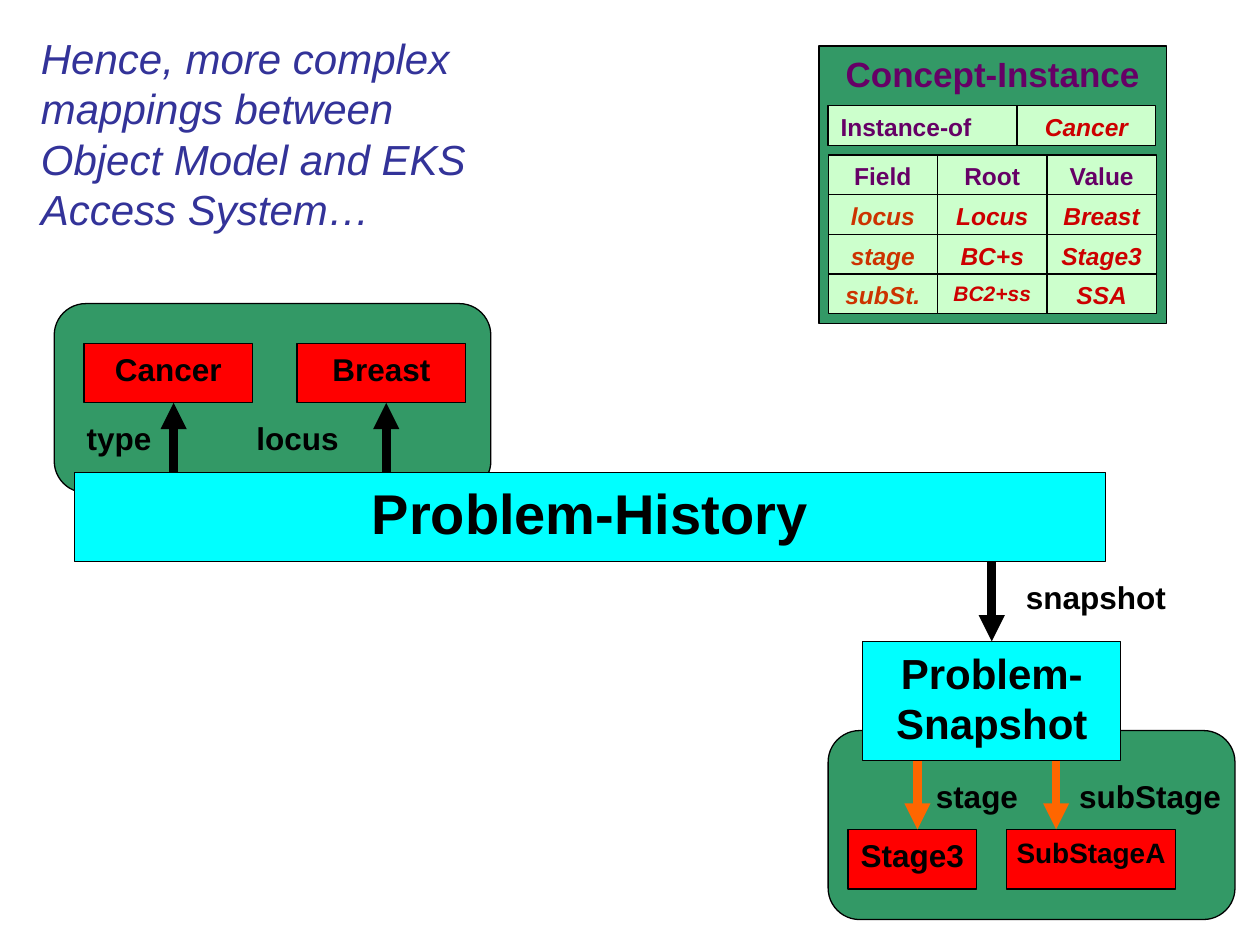
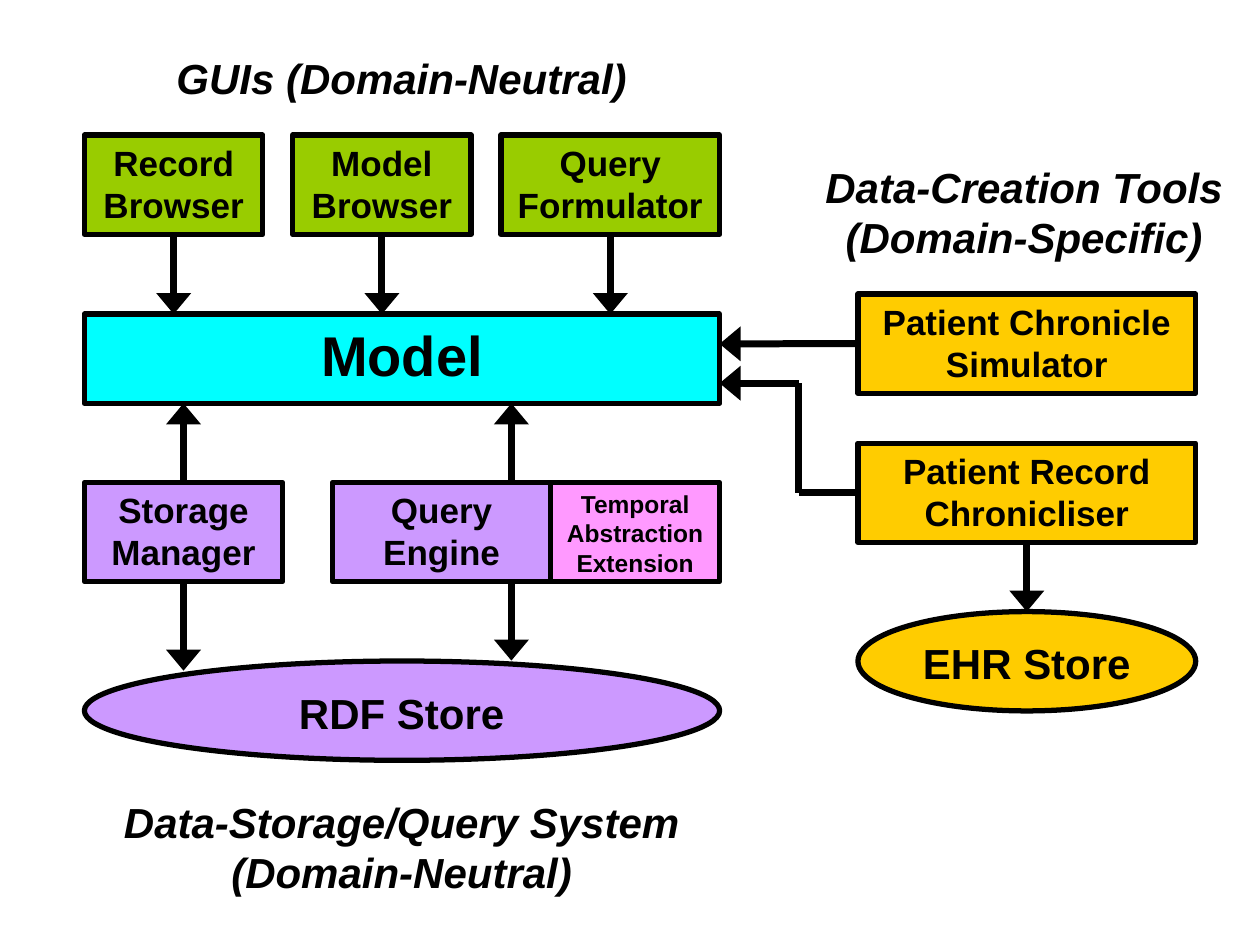
"""Build two slides on mapping an object model to its stores and tools."""
from dataclasses import dataclass

from lxml import etree
from pptx import Presentation
from pptx import util as u
from pptx.dml.color import RGBColor
from pptx.enum import shapes, text
from pptx.oxml.ns import qn

RECT = shapes.MSO_SHAPE.RECTANGLE
ROUND = shapes.MSO_SHAPE.ROUNDED_RECTANGLE
OVAL = shapes.MSO_SHAPE.OVAL
LEFT, CENTER = text.PP_ALIGN.LEFT, text.PP_ALIGN.CENTER
TOP, SIDE_LEFT, BOTTOM = 0, 1, 2


@dataclass(frozen=True)
class Theme:
    font: str = "Arial"
    ink: str = "000000"
    title: str = "333399"
    green: str = "339966"
    mint: str = "CCFFCC"
    red: str = "FF0000"
    cyan: str = "00FFFF"
    orange: str = "FF6600"
    purple: str = "660066"
    rust: str = "CC3300"
    crimson: str = "CC0000"
    lime: str = "99CC00"
    lilac: str = "CC99FF"
    pink: str = "FF99FF"
    gold: str = "FFCC00"
    small: int = 12
    cell: int = 14
    compact: int = 16
    label: int = 18
    box: int = 20
    heading: int = 24
    hero: int = 32
    thin: float = 0.75
    thick: float = 3
    inset: float = 3.6
    wide_inset: float = 7.2


T = Theme()


def rgb(color):
    return RGBColor.from_string(color)


def pts(values):
    return [u.Pt(v) for v in values]


def apply(target, values):
    for name, value in values.items():
        setattr(target, name, value)


def write(tf, words, size, color=T.ink, bold=True, italic=False, align=CENTER):
    for i, line_words in enumerate(words.split("\n")):
        p = tf.paragraphs[0] if i == 0 else tf.add_paragraph()
        p.alignment = align
        r = p.add_run()
        r.text = line_words
        apply(r.font, {"name": T.font, "size": u.Pt(size), "bold": bold, "italic": italic})
        r.font.color.rgb = rgb(color)


def frame(tf, inset=T.inset):
    apply(tf, {"word_wrap": True, "vertical_anchor": text.MSO_ANCHOR.TOP,
               "margin_left": u.Pt(inset), "margin_right": u.Pt(inset),
               "margin_top": u.Pt(T.inset), "margin_bottom": u.Pt(T.inset)})


def box(s, at, fill, words="", size=T.box, kind=RECT, width=T.thin, inset=T.inset, **style):
    sp = s.shapes.add_shape(kind, *pts(at))
    sp.shadow.inherit = False
    sp.fill.solid()
    sp.fill.fore_color.rgb = rgb(fill)
    sp.line.color.rgb = rgb(T.ink)
    sp.line.width = u.Pt(width)
    frame(sp.text_frame, inset)
    if words:
        write(sp.text_frame, words, size, **style)
    return sp


def label(s, at, words, size=T.label, **style):
    sp = s.shapes.add_textbox(*pts(at))
    frame(sp.text_frame)
    write(sp.text_frame, words, size, **style)


def line(s, start, end, width, color=T.ink, head="med", begin=None, finish=None):
    cx = s.shapes.add_connector(shapes.MSO_CONNECTOR.STRAIGHT, *pts(start + end))
    if begin:
        cx.begin_connect(*begin)
    if finish:
        cx.end_connect(*finish)
    cx.line.color.rgb = rgb(color)
    cx.line.width = u.Pt(width)
    if head:
        etree.SubElement(cx.line._get_or_add_ln(), qn("a:tailEnd"),
                         type="triangle", w=head, len="med")
    etree.SubElement(cx._element.spPr, qn("a:effectLst"))


def cell_row(s, x, y, widths, height, cells):
    for width, (words, style) in zip(widths, cells):
        box(s, (x, y, width, height), T.mint, words,
            **{"size": T.cell, "inset": T.wide_inset, **style})
        x += width


def concept_instance(s):
    head = {"color": T.purple}
    field = {"color": T.rust, "italic": True}
    value = {"color": T.crimson, "italic": True}
    box(s, (468, 26.25, 198.5, 158.5), T.green, "Concept-Instance", color=T.purple)
    cell_row(s, 473.25, 60.25, (108, 79.25), 22.75,
             [("Instance-of", {**head, "align": LEFT}), ("Cancer", value)])
    rows = [[(name, head) for name in ("Field", "Root", "Value")]]
    for name, root, content in (("locus", "Locus", "Breast"), ("stage", "BC+s", "Stage3"),
                                ("subSt.", "BC2+ss", "SSA")):
        root_style = {**value, "size": T.small} if root == "BC2+ss" else value
        rows.append([(name, field), (root, root_style), (content, value)])
    height = 22.7
    for i, cells in enumerate(rows):
        cell_row(s, 473.25, 88.5 + i * height, (62.5,) * 3, height, cells)


def mapping_slide(s):
    label(s, (19.75, 15, 278, 130),
          "Hence, more complex mappings between Object Model and EKS Access System…",
          T.heading, color=T.title, bold=False, italic=True, align=LEFT)
    concept_instance(s)
    for at in ((473.25, 417.5, 232.5, 108), (31, 173.5, 249.5, 108)):
        box(s, at, T.green, kind=ROUND)
    for x, y, w, words, size in ((48, 196.25, 96.5, "Cancer", T.label),
                                 (169.75, 196.25, 96.5, "Breast", T.label),
                                 (484.5, 474, 73.5, "Stage3", T.label),
                                 (575.25, 474, 96.5, "SubStageA", T.compact)):
        box(s, (x, y, w, 34), T.red, words, size)
    box(s, (42.5, 270, 589.25, 51), T.cyan, "Problem-History", T.hero)
    snapshot = box(s, (493, 366.5, 147.5, 68.25), T.cyan, "Problem-Snapshot", T.heading)
    for x, y, w, words in ((36.75, 236, 62.5, "type"), (136.25, 236, 67.5, "locus"),
                           (572.25, 327, 108, "snapshot"), (527, 440.25, 62.5, "stage"),
                           (606.25, 440.25, 102, "subStage")):
        label(s, (x, y, w, 29), words)
    for x in (99.25, 220.75):
        line(s, (x, 270), (x, 230.25), 5)
    for x in (524.25, 603.5):
        line(s, (x, 434.75), (x, 474), 5, T.orange)
    line(s, (566.75, 321), (566.75, 366.5), 5, finish=(snapshot, TOP))


def architecture_slide(s):
    def block(x, y, w, fill, words="", size=T.box, kind=RECT, h=56.75):
        return box(s, (x, y, w, h), fill, words, size, kind=kind, width=T.thick)

    def arrow(start, end, head="lg", **options):
        line(s, start, end, 4, head=head, **options)

    block(48.25, 179.5, 363, T.cyan, "Model", T.hero, h=51)
    block(48.25, 377.75, 363, T.lilac, kind=OVAL)
    ehr = block(490.25, 349.5, 193, T.gold, kind=OVAL)
    label(s, (54, 389.25, 351, 36), "RDF Store", T.heading)
    label(s, (490.25, 360.5, 193, 36), "EHR Store", T.heading)
    for at, words in (((31, 26.25, 397, 36), "GUIs (Domain-Neutral)"),
                      ((450.75, 88.5, 269, 65), "Data-Creation Tools (Domain-Specific)"),
                      ((31, 451.5, 397, 65), "Data-Storage/Query System (Domain-Neutral)")):
        label(s, at, words, T.heading, italic=True)

    for x, w, words in ((48.25, 102, "Record Browser"), (167.25, 102, "Model Browser"),
                        (286.25, 125, "Query Formulator")):
        gui, mid = block(x, 77.25, w, T.lime, words), x + w / 2
        arrow((mid, 134), (mid, 179.5), begin=(gui, BOTTOM))

    storage = block(48.25, 275.75, 113.25, T.lilac, "Storage Manager")
    block(190, 275.75, 124.75, T.lilac, "Query\nEngine")
    block(314.75, 275.75, 96.5, T.pink, "Temporal Abstraction\nExtension", T.cell)
    storage_mid = 48.25 + 113.25 / 2
    arrow((storage_mid, 275.75), (storage_mid, 230.5), begin=(storage, TOP))
    arrow((storage_mid, 332.5), (storage_mid, 383.25), begin=(storage, BOTTOM))
    arrow((292.25, 275.75), (292.25, 230.5))
    arrow((292.25, 332.5), (292.25, 377.5))

    simulator = block(490.25, 168, 193, T.gold, "Patient Chronicle Simulator")
    chronicliser = block(490.25, 253.25, 193, T.gold, "Patient Record Chronicliser")
    bend, inlet = 456.5, 219
    middle = 253.25 + 56.75 / 2
    arrow((490.25, 196.5), (411.25, 196.5), begin=(simulator, SIDE_LEFT))
    arrow((490.25, middle), (bend, middle), head=None, begin=(chronicliser, SIDE_LEFT))
    arrow((bend, middle), (bend, inlet), head=None)
    arrow((bend, inlet), (411.25, inlet))
    arrow((586.75, 310), (586.75, 349.5), begin=(chronicliser, BOTTOM), finish=(ehr, TOP))


def main():
    prs = Presentation()
    apply(prs, {"slide_width": u.Pt(720), "slide_height": u.Pt(540)})
    for build in (mapping_slide, architecture_slide):
        build(prs.slides.add_slide(prs.slide_layouts[6]))
    prs.save("out.pptx")


if __name__ == "__main__":
    main()
